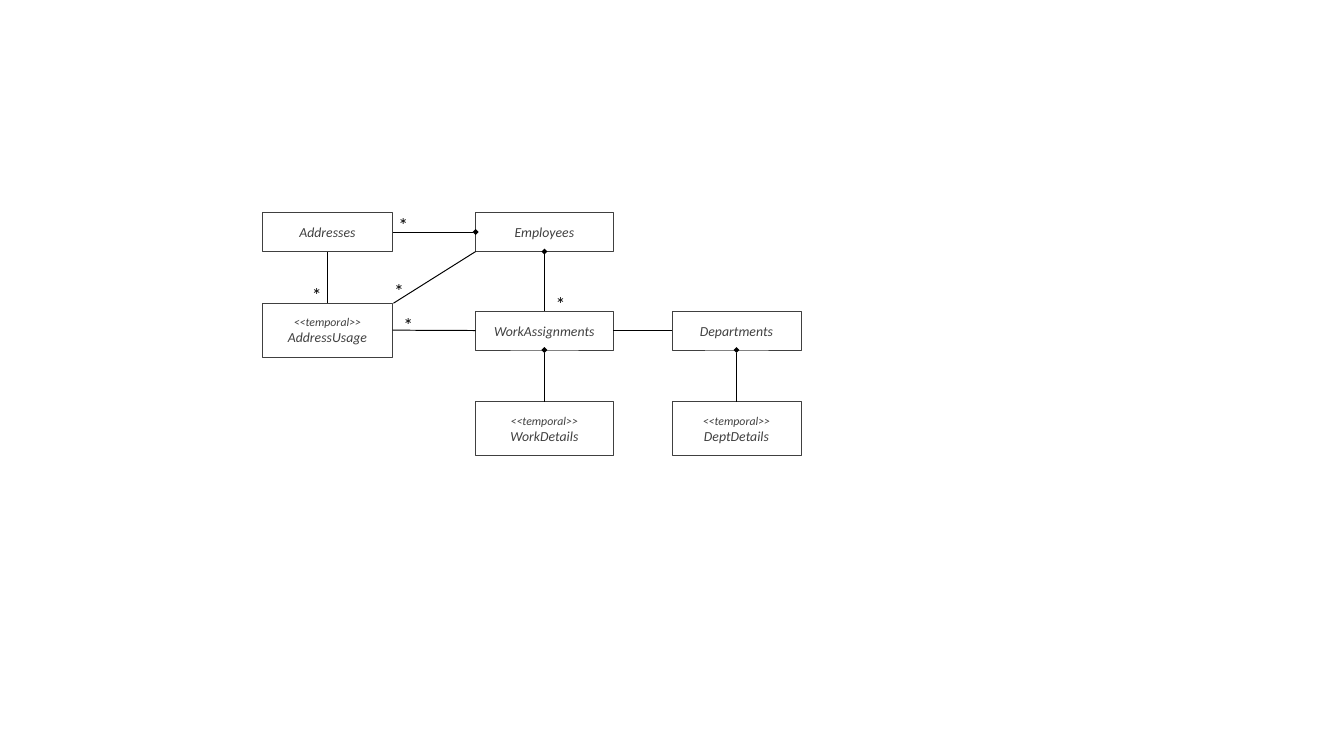
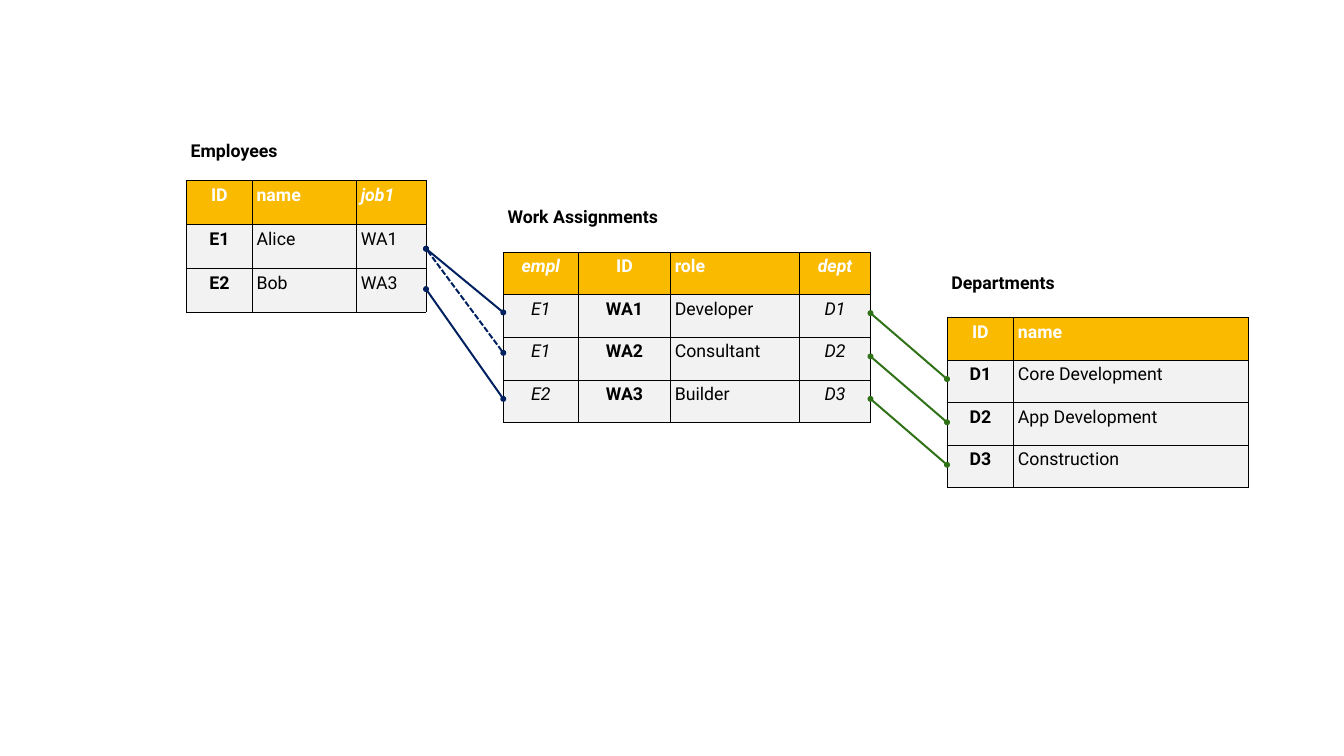
from dataclasses import dataclass, field
from typing import Any, NamedTuple, Optional

from lxml import etree
from pptx import Presentation
from pptx import util as u
from pptx.dml import color
from pptx.enum import dml, shapes, text
from pptx.oxml import ns

BLACK, WHITE, GRAPHITE = "000000", "FFFFFF", "404040"
AMBER, PALE, NAVY, GREEN = "F9BA00", "F2F2F2", "002060", "2E7116"
MODEL_FONT, TABLE_FONT = "Calibri", "Roboto"
CENTER, LEFT = text.PP_ALIGN.CENTER, text.PP_ALIGN.LEFT
TOP_SITE, LEFT_SITE, BOTTOM_SITE, RIGHT_SITE = range(4)
PLAIN_HEIGHT, TEMPORAL_HEIGHT = 0.55, 0.76


class Entity(NamedTuple):
    name: str
    left: float
    top: float
    width: float
    temporal: bool = False


class Relation(NamedTuple):
    source: str
    source_site: int
    target: str
    target_site: int
    head: Optional[str] = None


class Wire(NamedTuple):
    start: tuple[float, float]
    end: tuple[float, float]
    hue: str = BLACK
    weight: float = 1
    head: Optional[str] = None
    tail: Optional[str] = None
    dash: Optional[dml.MSO_LINE] = None


@dataclass
class Column:
    name: str
    width: float
    values: list[str]
    align: text.PP_ALIGN = LEFT
    body: dict[str, bool] = field(default_factory=dict)
    header: dict[str, bool] = field(default_factory=dict)


@dataclass
class Listing:
    title: str
    left: float
    top: float
    title_height: float
    row_height: float
    columns: list[Column]

    @property
    def right(self) -> float:
        return self.left + sum(column.width for column in self.columns)


def rgb(code: str) -> color.RGBColor:
    return color.RGBColor.from_string(code)


def apply(target: Any, values: dict[str, Any]) -> None:
    for name, value in values.items():
        setattr(target, name, value)


def write(paragraph: Any, words: str, font: str, size: float, hue: str,
          align: text.PP_ALIGN = CENTER, **looks: bool) -> None:
    paragraph.alignment = align
    run = paragraph.add_run()
    run.text = words
    apply(run.font, {"name": font, "size": u.Pt(size), **looks})
    run.font.color.rgb = rgb(hue)


def set_frame(frame: Any, inset: float, wrap: bool) -> None:
    margins = {f"margin_{side}": u.Inches(inset) for side in ("left", "top", "right", "bottom")}
    apply(frame, {**margins, "word_wrap": wrap, "vertical_anchor": text.MSO_ANCHOR.MIDDLE,
                  "auto_size": text.MSO_AUTO_SIZE.SHAPE_TO_FIT_TEXT})


def draw_entity(slide: Any, entity: Entity) -> Any:
    height = TEMPORAL_HEIGHT if entity.temporal else PLAIN_HEIGHT
    box = slide.shapes.add_shape(
        shapes.MSO_SHAPE.RECTANGLE,
        *map(u.Inches, (entity.left, entity.top, entity.width, height)))
    box.shadow.inherit = False
    box.fill.solid()
    box.fill.fore_color.rgb = rgb(WHITE)
    box.line.color.rgb = rgb(GRAPHITE)
    box.line.width = u.Pt(1)
    frame = box.text_frame
    set_frame(frame, 0.16, True)
    paragraph = frame.paragraphs[0]
    if entity.temporal:
        write(paragraph, "<<temporal>>", MODEL_FONT, 12, GRAPHITE, italic=True)
        paragraph = frame.add_paragraph()
    write(paragraph, entity.name, MODEL_FONT, 14, GRAPHITE, italic=True)
    return box


def draw_wire(slide: Any, wire: Wire) -> Any:
    connector = slide.shapes.add_connector(
        shapes.MSO_CONNECTOR.STRAIGHT, *map(u.Inches, (*wire.start, *wire.end)))
    line = connector.line
    line.color.rgb = rgb(wire.hue)
    apply(line, {"width": u.Pt(wire.weight), "dash_style": wire.dash})
    outline = line._get_or_add_ln()
    for tag, kind in (("a:headEnd", wire.head), ("a:tailEnd", wire.tail)):
        if kind:
            etree.SubElement(outline, ns.qn(tag), type=kind)
    etree.SubElement(connector._element.spPr, ns.qn("a:effectLst"))
    return connector


def draw_relation(slide: Any, relation: Relation, boxes: dict[str, Any]) -> None:
    connector = draw_wire(slide, Wire((0, 0), (1, 1), head=relation.head))
    connector.begin_connect(boxes[relation.source], relation.source_site)
    connector.end_connect(boxes[relation.target], relation.target_site)


def draw_many(slide: Any, left: float, top: float) -> None:
    label = slide.shapes.add_textbox(*map(u.Inches, (left, top, 0.25, 0.45)))
    set_frame(label.text_frame, 0.06, False)
    write(label.text_frame.paragraphs[0], "*", MODEL_FONT, 20, BLACK)


def set_borders(cell: Any, weights: dict[str, float]) -> None:
    properties = cell._tc.get_or_add_tcPr()
    for side in "LRTB":
        weight = weights.get(side, 0)
        edge = etree.SubElement(properties, ns.qn(f"a:ln{side}"), w=str(u.Pt(weight)))
        if weight:
            fill = etree.SubElement(edge, ns.qn("a:solidFill"))
            etree.SubElement(fill, ns.qn("a:srgbClr"), val=BLACK)
        else:
            etree.SubElement(edge, ns.qn("a:noFill"))


def border_weights(row: int, column: int, last_row: int, last_column: int) -> dict[str, float]:
    if row == 0:
        return {"B": 1}
    return {
        "L": 0.25 if column == 0 else 0.5,
        "R": 0.25 if column == last_column else 0.5,
        "T": 1 if row <= 2 else 0.5,
        "B": 1 if row == 1 else 0.25 if row == last_row else 0.5,
    }


def draw_listing(slide: Any, listing: Listing) -> None:
    columns = listing.columns
    last_row, last_column = len(columns[0].values) + 1, len(columns) - 1
    height = listing.title_height + last_row * listing.row_height
    grid = slide.shapes.add_table(
        last_row + 1, len(columns),
        *map(u.Inches, (listing.left, listing.top, listing.right - listing.left, height))).table
    apply(grid, {"first_row": False, "horz_banding": False})
    for row, band in enumerate(grid.rows):
        band.height = u.Inches(listing.row_height if row else listing.title_height)
    for index, column in enumerate(columns):
        grid.columns[index].width = u.Inches(column.width)
        for row, words in enumerate(["", column.name, *column.values]):
            cell = grid.cell(row, index)
            apply(cell, {f"margin_{side}": u.Inches(0.06)
                         for side in ("left", "top", "right", "bottom")})
            set_borders(cell, border_weights(row, index, last_row, last_column))
            if row == 0:
                cell.fill.background()
                continue
            cell.fill.solid()
            cell.fill.fore_color.rgb = rgb(AMBER if row == 1 else PALE)
            looks = {"bold": True, **column.header} if row == 1 else {"bold": False, **column.body}
            write(cell.text_frame.paragraphs[0], words, TABLE_FONT, 18,
                  WHITE if row == 1 else BLACK, column.align, **looks)
    title = grid.cell(0, 0)
    title.merge(grid.cell(0, last_column))
    write(title.text_frame.paragraphs[0], listing.title, TABLE_FONT, 18, BLACK, LEFT, bold=True)


def key(width: float, values: list[str]) -> Column:
    return Column("ID", width, values, CENTER, {"bold": True})


def reference(name: str, width: float, values: list[str]) -> Column:
    return Column(name, width, values, CENTER, {"italic": True}, {"italic": True})


ENTITIES = [
    Entity("Employees", 6.71, 3, 1.94),
    Entity("WorkAssignments", 6.71, 4.39, 1.94),
    Entity("WorkDetails", 6.71, 5.67, 1.94, True),
    Entity("Departments", 9.48, 4.39, 1.82),
    Entity("DeptDetails", 9.48, 5.67, 1.82, True),
    Entity("Addresses", 3.7, 3, 1.84),
    Entity("AddressUsage", 3.7, 4.28, 1.84, True),
]
RELATIONS = [
    Relation("Employees", LEFT_SITE, "Addresses", RIGHT_SITE, "diamond"),
    Relation("Employees", BOTTOM_SITE, "WorkAssignments", TOP_SITE, "diamond"),
    Relation("WorkAssignments", BOTTOM_SITE, "WorkDetails", TOP_SITE, "diamond"),
    Relation("Departments", BOTTOM_SITE, "DeptDetails", TOP_SITE, "diamond"),
    Relation("WorkAssignments", RIGHT_SITE, "Departments", LEFT_SITE),
    Relation("AddressUsage", RIGHT_SITE, "WorkAssignments", LEFT_SITE),
    Relation("AddressUsage", TOP_SITE, "Addresses", BOTTOM_SITE),
]
USAGE_OF_EMPLOYEE = Wire((5.55, 4.28), (6.71, 3.55))
MANY_MARKS = [(7.78, 4.06), (5.56, 2.94), (4.34, 3.94), (5.5, 3.88), (5.63, 4.35)]

EMPLOYEES = Listing("Employees", 2.63, 1.93, 0.62, 0.62, [
    key(0.93, ["E1", "E2"]),
    Column("name", 1.47, ["Alice", "Bob"]),
    Column("job1", 0.98, ["WA1", "WA3"], header={"italic": True}),
])
ASSIGNMENTS = Listing("Work Assignments", 7.1, 2.87, 0.69, 0.6, [
    reference("empl", 1.06, ["E1", "E1", "E2"]),
    key(1.3, ["WA1", "WA2", "WA3"]),
    Column("role", 1.82, ["Developer", "Consultant", "Builder"]),
    reference("dept", 1, ["D1", "D2", "D3"]),
])
DEPARTMENTS = Listing("Departments", 13.36, 3.79, 0.69, 0.6, [
    key(0.94, ["D1", "D2", "D3"]),
    Column("name", 3.31, ["Core Development", "App Development", "Construction"]),
])
JOB_LINKS = [(3.51, 4.98, dml.MSO_LINE.SQUARE_DOT), (4.08, 5.63, None), (3.51, 4.41, None)]
DEPARTMENT_LINKS = [(y, y + 0.93, None) for y in (4.42, 5.03, 5.63)]


def build_model(slide: Any) -> None:
    boxes = {entity.name: draw_entity(slide, entity) for entity in ENTITIES}
    for relation in RELATIONS:
        draw_relation(slide, relation, boxes)
    draw_wire(slide, USAGE_OF_EMPLOYEE)
    for left, top in MANY_MARKS:
        draw_many(slide, left, top)


def build_records(slide: Any) -> None:
    for listing in (EMPLOYEES, ASSIGNMENTS, DEPARTMENTS):
        draw_listing(slide, listing)
    for source, target, hue, links in (
        (EMPLOYEES, ASSIGNMENTS, NAVY, JOB_LINKS),
        (ASSIGNMENTS, DEPARTMENTS, GREEN, DEPARTMENT_LINKS),
    ):
        for start, end, dash in links:
            draw_wire(slide, Wire((source.right, start), (target.left, end),
                                  hue, 2, "oval", "oval", dash))


deck = Presentation()
apply(deck, {"slide_width": u.Inches(18.96), "slide_height": u.Inches(10.67)})
blank = deck.slide_layouts[6]
for build in (build_model, build_records):
    build(deck.slides.add_slide(blank))
deck.save("out.pptx")
